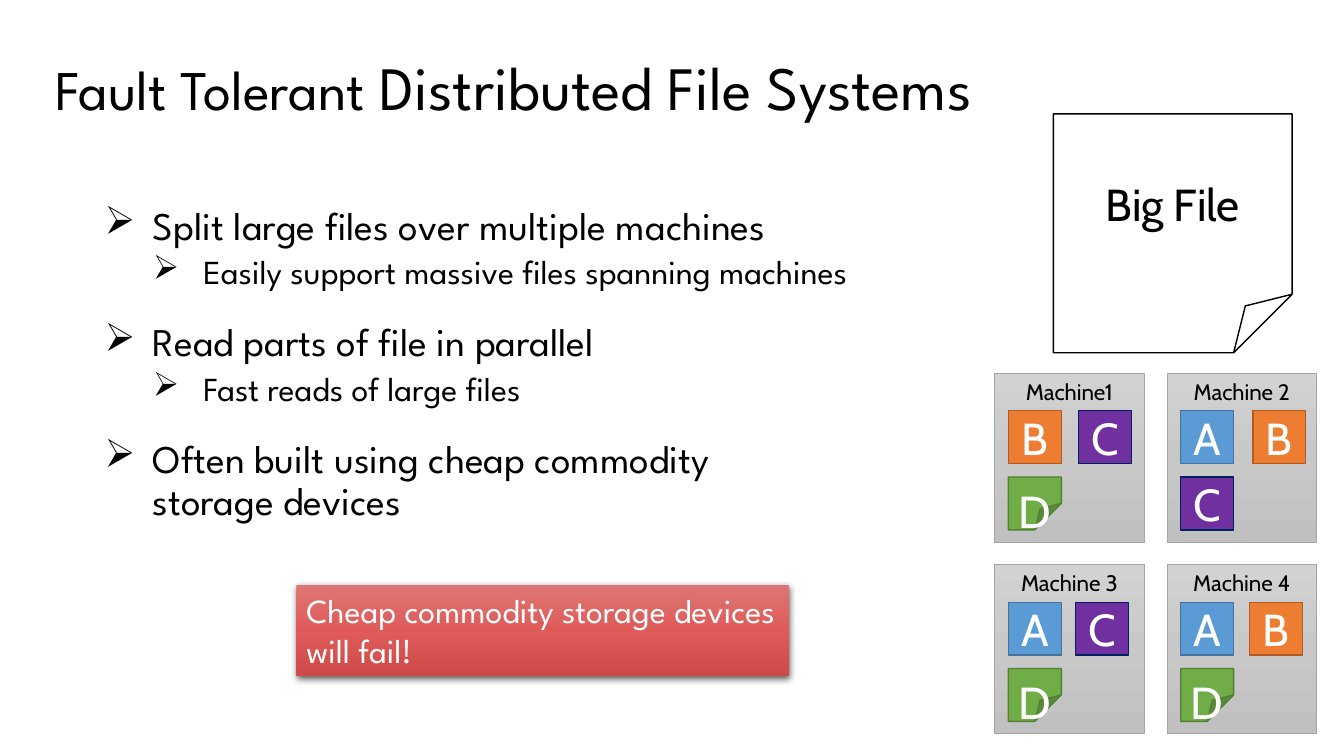
from copy import deepcopy

from lxml import etree
from pptx import Presentation
from pptx.dml.color import RGBColor
from pptx.enum.shapes import MSO_SHAPE
from pptx.enum.text import MSO_ANCHOR, PP_ALIGN
from pptx.oxml import parse_xml
from pptx.oxml.ns import nsdecls, qn
from pptx.util import Pt

RECT, FOLDED = MSO_SHAPE.RECTANGLE, MSO_SHAPE.FOLDED_CORNER
TOP, MIDDLE = MSO_ANCHOR.TOP, MSO_ANCHOR.MIDDLE
LEFT, CENTER = PP_ALIGN.LEFT, PP_ALIGN.CENTER
HEAD_FONT, LABEL_FONT = "League Spartan", "Cabin"

COLORS = {
    "black": "000000", "white": "FFFFFF", "machine_line": "A5A5A5",
    "A": "5B9BD5", "A_line": "43739E", "B": "ED7D31", "B_line": "AF5C24",
    "C": "7030A0", "C_line": "002060", "D": "70AD47", "D_line": "538035",
}
GRADIENTS = {
    "machine": ["D2D2D2", "C8C8C8", "C0C0C0"],
    "warning": ["DE7674", "DF5B59", "CD4A48"],
}
BULLETS = [
    (0, "Split large files over multiple machines"),
    (1, "Easily support massive files spanning machines"),
    (0, "Read parts of file in parallel"),
    (1, "Fast reads of large files"),
    (0, "Often built using cheap commodity\nstorage devices"),
]
LEVELS = [(28, 36, -34.5, 22), (24, 72, -36, 5)]
MACHINES = [
    ("Machine1", "BCD", 59.8), ("Machine 2", "ABC", 61.2),
    ("Machine 3", "ACD", 57.6), ("Machine 4", "ABD", 59),
]


def rgb(name):
    return RGBColor.from_string(COLORS[name])


def add_run(p, text, size, font, color="black"):
    r = p.add_run()
    r.text = text
    r.font.size = Pt(size)
    r.font.name = font
    r.font.color.rgb = rgb(color)


def add_box(s, x, y, w, h, anchor):
    tf = s.shapes.add_textbox(Pt(x), Pt(y), Pt(w), Pt(h)).text_frame
    tf.word_wrap = True
    tf.vertical_anchor = anchor
    return tf


def add_panel(s, kind, box, line=None, width=1):
    sp = s.shapes.add_shape(kind, *(Pt(v) for v in box))
    sp.shadow.inherit = False
    if line:
        sp.line.color.rgb = rgb(line)
        sp.line.width = Pt(width)
    else:
        sp.line.fill.background()
    return sp


def add_label(sp, text, size, font, color="black", anchor=MIDDLE, align=CENTER):
    tf = sp.text_frame
    tf.word_wrap = True
    tf.vertical_anchor = anchor
    p = tf.paragraphs[0]
    p.alignment = align
    add_run(p, text, size, font, color)


def fill_gradient(sp, colors):
    sp.fill.gradient()
    sp.fill.gradient_angle = 270
    stops = sp._element.spPr.find(".//" + qn("a:gsLst"))
    stops.append(deepcopy(stops[-1]))
    for i, (stop, color) in enumerate(zip(sp.fill.gradient_stops, colors)):
        stop.position = i / 2
        stop.color.rgb = RGBColor.from_string(color)


def set_fold(sp, share):
    geometry = sp._element.spPr.find(qn("a:prstGeom"))
    guides = geometry.find(qn("a:avLst"))
    if guides is None:
        guides = etree.SubElement(geometry, qn("a:avLst"))
    etree.SubElement(guides, qn("a:gd"), name="adj", fmla=f"val {round(share * 100000)}")


def add_shadow(sp):
    sp._element.spPr.find(qn("a:effectLst")).append(parse_xml(
        f'<a:outerShdw {nsdecls("a")} blurRad="{Pt(4.5)}" dist="{Pt(1.5)}" '
        f'dir="5400000" algn="ctr" rotWithShape="0"><a:srgbClr val="{COLORS["black"]}">'
        '<a:alpha val="63000"/></a:srgbClr></a:outerShdw>'))


def add_title(s):
    p = add_box(s, 32.4, 12.2, 850.3, 104.4, MIDDLE).paragraphs[0]
    p.line_spacing = 0.9
    add_run(p, "Fault Tolerant", 40, HEAD_FONT)
    add_run(p, " Distributed File Systems", 44, HEAD_FONT)


def add_bullets(s):
    tf = add_box(s, 66.2, 144, 828, 264.2, TOP)
    for i, (level, text) in enumerate(BULLETS):
        size, margin, indent, before = LEVELS[level]
        p = tf.add_paragraph() if i else tf.paragraphs[0]
        p.level = level
        pPr = p._p.get_or_add_pPr()
        pPr.set("marL", str(Pt(margin)))
        pPr.set("indent", str(Pt(indent)))
        color = etree.SubElement(pPr, qn("a:buClr"))
        etree.SubElement(color, qn("a:srgbClr"), val=COLORS["black"])
        etree.SubElement(pPr, qn("a:buChar"), char="➢")
        p.line_spacing = 0.9
        p.space_before = Pt(before if i else 0)
        for n, line in enumerate(text.split("\n")):
            if n:
                p.add_line_break()
            add_run(p, line, size, HEAD_FONT)


def add_block(s, letter, x, y):
    folded = letter == "D"
    sp = add_panel(s, FOLDED if folded else RECT, (x, y, 37.8, 37.8), letter + "_line")
    sp.fill.solid()
    sp.fill.fore_color.rgb = rgb(letter)
    if folded:
        set_fold(sp, 0.5)
        sp.text_frame.margin_top = Pt(28.8)
        sp.text_frame.margin_bottom = 0
    add_label(sp, letter, 32, LABEL_FONT, "white")


def add_machine(s, x, y, name, letters, second_column):
    sp = add_panel(s, RECT, (x, y, 106.6, 121), "machine_line", 0.5)
    fill_gradient(sp, GRADIENTS["machine"])
    add_label(sp, name, 16, LABEL_FONT, anchor=TOP)
    for i, letter in enumerate(letters):
        row, col = divmod(i, 2)
        add_block(s, letter, x + (second_column if col else 9.7), y + 27 + row * 47.3)


def add_big_file(s):
    sp = add_panel(s, FOLDED, (752.4, 81.4, 170.6, 170.6), "black")
    sp.fill.background()
    set_fold(sp, 0.245)
    add_label(sp, "Big File", 32, LABEL_FONT)


def add_warning(s):
    sp = add_panel(s, RECT, (211.7, 417.6, 352.1, 65.5))
    fill_gradient(sp, GRADIENTS["warning"])
    add_shadow(sp)
    add_label(sp, "Cheap commodity storage devices will fail!", 24, HEAD_FONT,
              "white", TOP, LEFT)


def main():
    """Build the slide on fault tolerant distributed file systems."""
    prs = Presentation()
    prs.slide_width, prs.slide_height = Pt(960), Pt(540)
    s = prs.slides.add_slide(prs.slide_layouts[6])
    add_bullets(s)
    add_big_file(s)
    add_title(s)
    add_warning(s)
    for i, machine in enumerate(MACHINES):
        row, col = divmod(i, 2)
        add_machine(s, 710.6 + col * 123.1, 266.4 + row * 136.8, *machine)
    prs.save("out.pptx")


if __name__ == "__main__":
    main()
